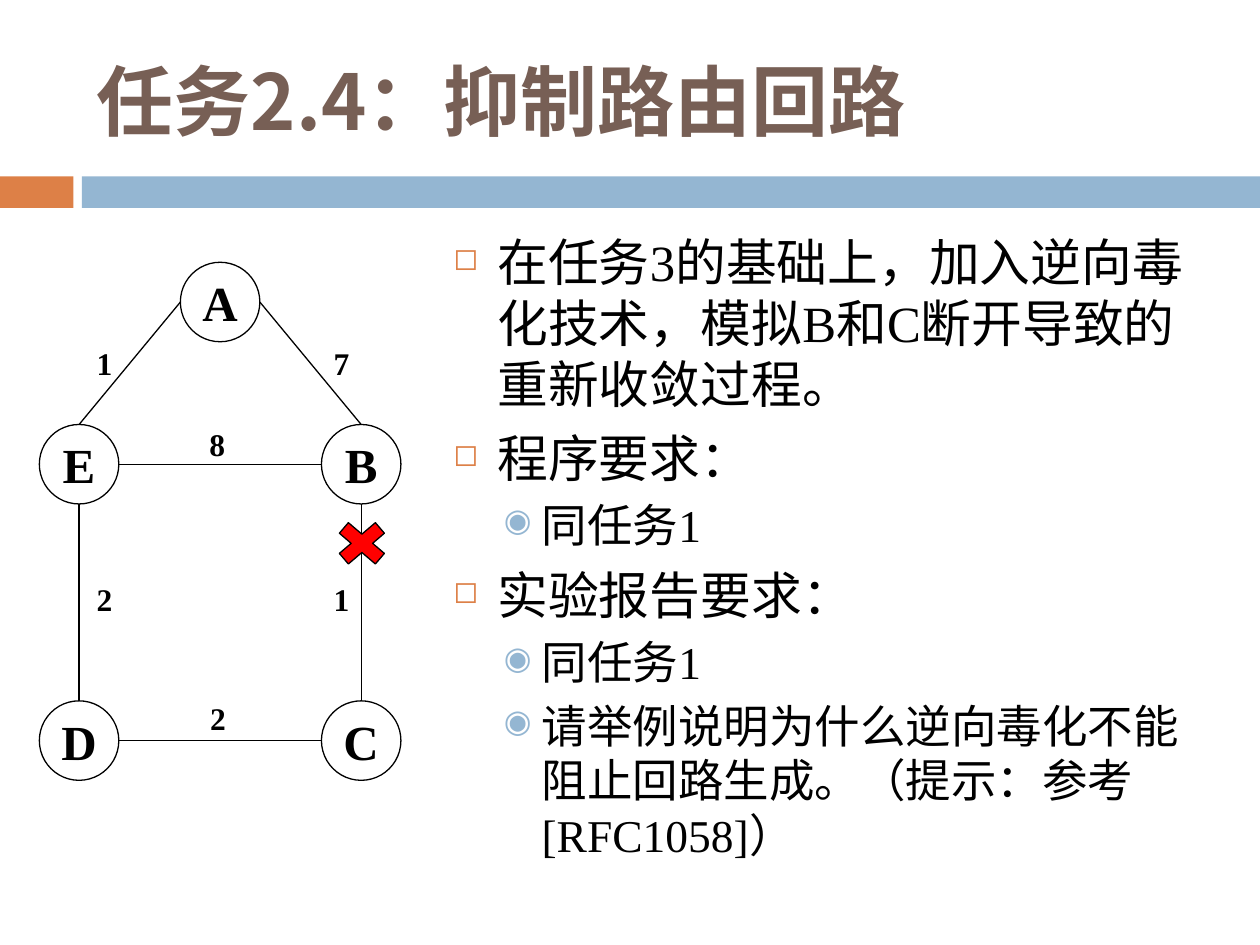
from lxml.etree import SubElement
from pptx import Presentation
from pptx.dml.color import RGBColor
from pptx.enum.shapes import MSO_CONNECTOR, MSO_SHAPE
from pptx.enum.text import MSO_ANCHOR, MSO_AUTO_SIZE, PP_ALIGN
from pptx.oxml.ns import qn
from pptx.util import Pt

COLORS = {"title": "775F55", "accent": "DD8047", "band": "94B6D2",
          "ink": "000000", "cut": "FF0000"}
SERIF = "Times New Roman"
SANS = "Noto Sans CJK SC"

RADIUS = 22.7
# Centre of each router
ROUTERS = {"A": (125.8, 172.6), "E": (45.2, 265.3), "B": (206.4, 265.3),
           "D": (45.2, 423.2), "C": (206.4, 423.2)}
SIDES = {"left": (-1, 0), "right": (1, 0), "top": (0, -1), "bottom": (0, 1)}
# Start router and side, end router and side, cost, cost label position
LINKS = [
    ("E", "top", "A", "left", "1", (48.2, 193)),
    ("A", "right", "B", "top", "7", (183.6, 193)),
    ("E", "right", "B", "left", "8", (112.5, 239.5)),
    ("E", "bottom", "D", "top", "2", (48.2, 327.6)),
    ("B", "bottom", "C", "top", "1", (183.6, 327.6)),
    ("D", "right", "C", "left", "2", (113, 396)),
]
# Bullet, bullet colour, bullet size %, indent, hanging, space before, size, line
LEVELS = [("◻", "accent", 60, 25.2, 25.2, 7, 29, 35),
          ("◉", "band", 70, 50.4, 21.6, 5.5, 26, 31)]
TASKS = [
    (0, "在任务3的基础上，加入逆向毒化技术，模拟B和C断开导致的重新收敛过程。"),
    (0, "程序要求："),
    (1, "同任务1"),
    (0, "实验报告要求："),
    (1, "同任务1"),
    (1, "请举例说明为什么逆向毒化不能阻止回路生成。（提示：参考[RFC1058]）"),
]


def rgb(name):
    """Look up a colour by name."""
    return RGBColor.from_string(COLORS[name])


def add_run(paragraph, text, size, font=SERIF, color="ink", bold=False):
    """Append one formatted run, with the sans font for Chinese text."""
    run = paragraph.add_run()
    run.text = text
    run.font.size = Pt(size)
    run.font.name = font
    run.font.bold = bold
    run.font.color.rgb = rgb(color)
    SubElement(run.font._element, qn("a:ea"), typeface=SANS)


def add_figure(slide, preset, left, top, width, height, fill=None, outline=None):
    """Add a preset shape with an optional fill and outline."""
    figure = slide.shapes.add_shape(preset, Pt(left), Pt(top), Pt(width), Pt(height))
    figure.shadow.inherit = False
    if fill:
        figure.fill.solid()
        figure.fill.fore_color.rgb = rgb(fill)
    else:
        figure.fill.background()
    if outline:
        figure.line.color.rgb = rgb(outline)
        figure.line.width = Pt(0.75)
    else:
        figure.line.fill.background()
    return figure


def add_title(slide, text):
    """Place and fill the title placeholder."""
    title = slide.shapes.title
    title.left, title.top, title.width, title.height = Pt(48), Pt(18), Pt(642), Pt(78)
    title.text_frame.vertical_anchor = MSO_ANCHOR.MIDDLE
    heading = title.text_frame.paragraphs[0]
    heading.alignment = PP_ALIGN.LEFT
    add_run(heading, text, 44, SANS, "title", True)


def add_bullet(paragraph, level):
    """Format a paragraph as a bullet of the given level."""
    mark, color, percent, indent, hanging, before, _, spacing = LEVELS[level]
    paragraph.level = level
    paragraph.space_before = Pt(before)
    paragraph.line_spacing = Pt(spacing)
    properties = paragraph._p.get_or_add_pPr()
    properties.set("marL", str(Pt(indent)))
    properties.set("indent", str(-Pt(hanging)))
    bullet_color = SubElement(properties, qn("a:buClr"))
    SubElement(bullet_color, qn("a:srgbClr"), val=COLORS[color])
    SubElement(properties, qn("a:buSzPct"), val=str(percent * 1000))
    SubElement(properties, qn("a:buChar"), char=mark)


def add_tasks(slide):
    """Add the two-level task list."""
    box = slide.shapes.add_textbox(Pt(252), Pt(128), Pt(438), Pt(385))
    frame = box.text_frame
    frame.word_wrap = True
    for number, (level, text) in enumerate(TASKS):
        paragraph = frame.add_paragraph() if number else frame.paragraphs[0]
        add_bullet(paragraph, level)
        add_run(paragraph, text, LEVELS[level][6])


def add_router(slide, name):
    """Add a lettered router circle."""
    x, y = ROUTERS[name]
    router = add_figure(slide, MSO_SHAPE.OVAL, x - RADIUS, y - RADIUS,
                        2 * RADIUS, 2 * RADIUS, outline="ink")
    frame = router.text_frame
    frame.word_wrap = False
    frame.vertical_anchor = MSO_ANCHOR.MIDDLE
    frame.paragraphs[0].alignment = PP_ALIGN.CENTER
    add_run(frame.paragraphs[0], name, 28, bold=True)


def port(name, side):
    """Return the point on one side of a router."""
    (x, y), (dx, dy) = ROUTERS[name], SIDES[side]
    return Pt(x + dx * RADIUS), Pt(y + dy * RADIUS)


def add_link(slide, start, start_side, end, end_side, cost, place):
    """Add a line between two routers and its cost."""
    link = slide.shapes.add_connector(MSO_CONNECTOR.STRAIGHT,
                                      *port(start, start_side), *port(end, end_side))
    link.line.color.rgb = rgb("ink")
    link.line.width = Pt(0.75)
    SubElement(link._element.spPr, qn("a:effectLst"))
    left, top = place
    label = slide.shapes.add_textbox(Pt(left), Pt(top), Pt(26), Pt(29))
    label.text_frame.word_wrap = True
    label.text_frame.auto_size = MSO_AUTO_SIZE.SHAPE_TO_FIT_TEXT
    add_run(label.text_frame.paragraphs[0], cost, 18, bold=True)


def main():
    """Build and save the slide."""
    deck = Presentation()
    deck.slide_width, deck.slide_height = Pt(720), Pt(540)
    slide = deck.slides.add_slide(deck.slide_layouts[5])
    add_figure(slide, MSO_SHAPE.RECTANGLE, 0, 100.8, 42, 18, "accent")
    add_figure(slide, MSO_SHAPE.RECTANGLE, 46.8, 100.8, 673.2, 18, "band")
    add_title(slide, "任务2.4：抑制路由回路")
    add_tasks(slide)
    for name in ROUTERS:
        add_router(slide, name)
    for link in LINKS:
        add_link(slide, *link)
    add_figure(slide, MSO_SHAPE.MATH_MULTIPLY, 187, 293.6, 39.6, 33.8, "cut", "ink")
    deck.save("out.pptx")


main()
